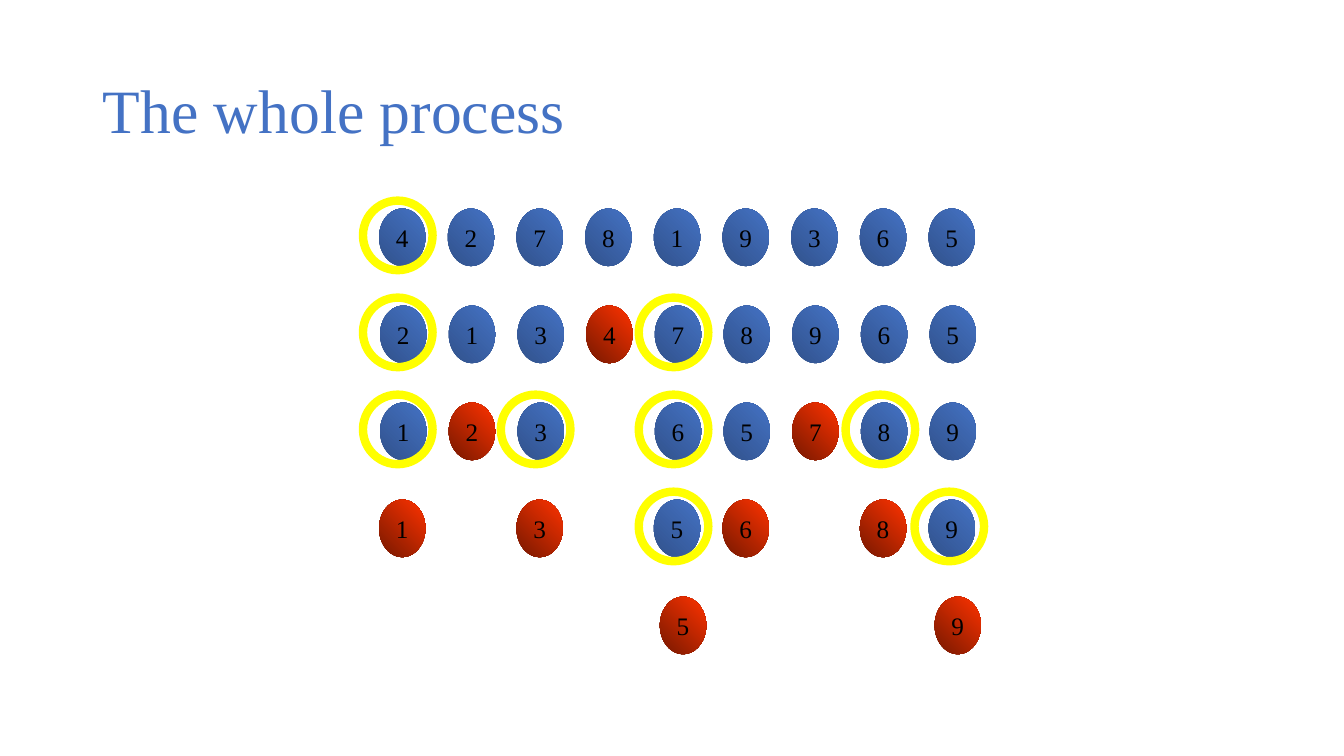
from pptx import Presentation
from pptx.dml.color import RGBColor
from pptx.enum.shapes import MSO_SHAPE as Shape
from pptx.enum.text import MSO_ANCHOR as Anchor, MSO_AUTO_SIZE as AutoSize, PP_ALIGN as Align
from pptx.util import Inches, Pt

TITLE = "The whole process"
# digits by column ("." is an empty place), settled digits, pivot digits, shift of the row
STEPS = [
    ("427819365", "", "4", 0),
    ("213478965", "4", "27", 0.01),
    ("123.65789", "27", "1368", 0.01),
    ("1.3.56.89", "1368", "59", 0),
    ("....5...9", "59", "", 0.06),
]
COLORS = {
    "background": "FFFFFF", "title": "4472C4", "digit": "000000", "pivot": "FFFF00",
    "open dark": "31528C", "open light": "4472C4",
    "settled dark": "761800", "settled light": "FF3300",
}
FONT = "Times New Roman"

WIDTH, HEIGHT = 13.33, 7.5
LAST_COLUMN = len(STEPS[0][0]) - 1
BALL_LEFT, BALL_TOP, BALL_WIDTH, BALL_HEIGHT = 3.76, 2.07, 0.46, 0.57
BALL_STEP = (9.21 - BALL_LEFT) / LAST_COLUMN
ROW_STEP = (5.92 - BALL_TOP) / (len(STEPS) - 1)
RING_LEFT, RING_RISE, RING_SIZE = 3.6, 0.08, 0.69
RING_STEP = (9.07 - RING_LEFT) / LAST_COLUMN


def color(name):
    return RGBColor.from_string(COLORS[name])


def style(para, size, color_name):
    font = para.runs[0].font
    font.name, font.size = FONT, Pt(size)
    font.color.rgb = color(color_name)


def add_ellipse(page, left, top, width, height):
    ellipse = page.shapes.add_shape(
        Shape.OVAL, Inches(left), Inches(top), Inches(width), Inches(height))
    ellipse.shadow.inherit = False
    return ellipse


def add_ball(page, left, top, digit, state):
    ball = add_ellipse(page, left, top, BALL_WIDTH, BALL_HEIGHT)
    ball.line.fill.background()
    ball.fill.gradient()
    ball.fill.gradient_angle = 45
    for stop, shade, position in zip(ball.fill.gradient_stops, ("dark", "light"), (0, 1)):
        stop.color.rgb = color(f"{state} {shade}")
        stop.position = position
    frame = ball.text_frame
    frame.text = digit
    frame.word_wrap = False
    frame.auto_size = AutoSize.SHAPE_TO_FIT_TEXT
    frame.vertical_anchor = Anchor.MIDDLE
    para = frame.paragraphs[0]
    para.alignment = Align.CENTER
    style(para, 18, "digit")


def add_ring(page, left, top):
    ring = add_ellipse(page, left, top, RING_SIZE, RING_SIZE)
    ring.fill.background()
    ring.line.color.rgb = color("pivot")
    ring.line.width = Pt(6)


def add_title(page):
    title = page.shapes.title
    title.left, title.top = Inches(0.92), Inches(0.4)
    title.width, title.height = Inches(11.5), Inches(1.45)
    frame = title.text_frame
    frame.text = TITLE
    frame.word_wrap = True
    frame.auto_size = AutoSize.NONE
    frame.vertical_anchor = Anchor.MIDDLE
    para = frame.paragraphs[0]
    para.alignment = Align.LEFT
    para.line_spacing = 0.9
    style(para, 44, "title")


def main():
    deck = Presentation()
    deck.slide_width, deck.slide_height = Inches(WIDTH), Inches(HEIGHT)
    page = deck.slides.add_slide(deck.slide_layouts.get_by_name("Title Only"))
    page.background.fill.solid()
    page.background.fill.fore_color.rgb = color("background")
    add_title(page)
    for row, (digits, settled, pivots, shift) in enumerate(STEPS):
        top = BALL_TOP + row * ROW_STEP
        for column, digit in enumerate(digits):
            if digit != ".":
                state = "settled" if digit in settled else "open"
                add_ball(page, BALL_LEFT + shift + column * BALL_STEP, top, digit, state)
        for pivot in pivots:
            add_ring(page, RING_LEFT + digits.index(pivot) * RING_STEP, top - RING_RISE)
    deck.save("out.pptx")


if __name__ == "__main__":
    main()
